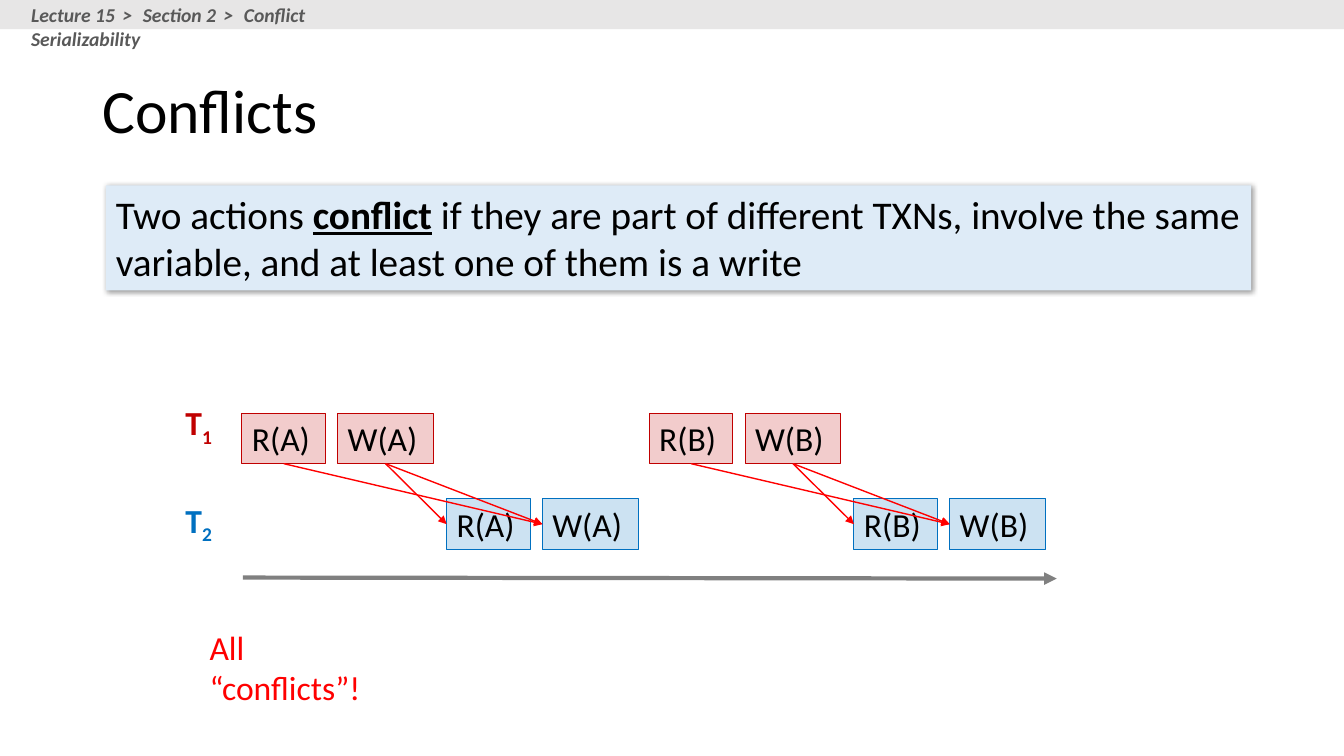
from dataclasses import dataclass, field
from itertools import product
from typing import Any

from lxml.etree import SubElement
from pptx import Presentation
from pptx.dml.color import RGBColor
from pptx.enum.shapes import MSO_CONNECTOR, MSO_SHAPE
from pptx.enum.text import MSO_ANCHOR, PP_ALIGN
from pptx.oxml.ns import qn
from pptx.util import Pt

PX = 9144  # one px is a hundredth of an inch
BOTTOM, LEFT = 0 + 2, 1  # connection sites of a rectangle
RED, BLUE, BLACK = "C00000", "0070C0", "000000"


@dataclass
class Run:
    text: str
    font: dict[str, Any] = field(default_factory=dict)
    attrs: dict[str, str] = field(default_factory=dict)


@dataclass
class Transaction:
    number: str
    color: str
    label_y: int
    x: int
    y: int


def rgb(color: str) -> RGBColor:
    return RGBColor.from_string(color)


def write(sp, runs: list[Run], size: int, color: str, anchor=MSO_ANCHOR.TOP,
          wrap: bool = True, margin_right: int = 10):
    """Fill a shape with one left-aligned paragraph."""
    tf = sp.text_frame
    settings = {"word_wrap": wrap, "vertical_anchor": anchor, "margin_right": margin_right * PX}
    for name, value in settings.items():
        setattr(tf, name, value)
    p = tf.paragraphs[0]
    p.alignment = PP_ALIGN.LEFT
    for run in runs:
        r = p.add_run()
        r.text = run.text
        r.font.color.rgb = rgb(color)
        for name, value in {"name": "Calibri", "size": Pt(size), **run.font}.items():
            setattr(r.font, name, value)
        for name, value in run.attrs.items():
            r.font._element.set(name, value)
    return p


def text(s, x: int, y: int, w: int, h: int, runs: list[Run], size: int, color: str, **layout):
    sp = s.shapes.add_textbox(x * PX, y * PX, w * PX, h * PX)
    return write(sp, runs, size, color, **layout)


def rect(s, x: int, y: int, w: int, h: int, fill: str, line: str = "", alpha: int = 100):
    sp = s.shapes.add_shape(MSO_SHAPE.RECTANGLE, x * PX, y * PX, w * PX, h * PX)
    sp.shadow.inherit = False
    sp.fill.solid()
    sp.fill.fore_color.rgb = rgb(fill)
    if alpha < 100:
        clr = sp._element.spPr.find(qn("a:solidFill"))[0]
        SubElement(clr, qn("a:alpha"), val=str(alpha * 1000))
    if line:
        sp.line.color.rgb = rgb(line)
        sp.line.width = Pt(0.75)
    else:
        sp.line.fill.background()
    return sp


def add_shadow(sp) -> None:
    effects = sp._element.spPr.find(qn("a:effectLst"))
    shadow = SubElement(effects, qn("a:outerShdw"), blurRad=str(Pt(4)), dist=str(Pt(1)),
                        dir="2700000", algn="tl", rotWithShape="0")
    clr = SubElement(shadow, qn("a:srgbClr"), val=BLACK)
    SubElement(clr, qn("a:alpha"), val="40000")


def arrow(s, color: str, width: int, x1: int = 0, y1: int = 0, x2: int = 0, y2: int = 0):
    c = s.shapes.add_connector(MSO_CONNECTOR.STRAIGHT, x1 * PX, y1 * PX, x2 * PX, y2 * PX)
    c.line.color.rgb = rgb(color)
    c.line.width = Pt(width)
    SubElement(c.line._get_or_add_ln(), qn("a:tailEnd"), type="triangle")
    SubElement(c._element.spPr, qn("a:effectLst"))
    return c


def draw_schedule(s) -> None:
    arrow(s, "808080", 3, 241, 573, 1048, 574)  # time axis

    # Transaction labels and their actions
    transactions = [Transaction("1", RED, 394, 240, 410),
                    Transaction("2", BLUE, 491, 443, 495)]
    variables = {"A": 0, "B": 404}
    actions = {"R": (0, 83), "W": (95, 95)}
    boxes = {}
    for t in transactions:
        bold = {"bold": True}
        label = [Run("T", bold), Run(t.number, bold, {"baseline": "-25000"})]
        text(s, 174, t.label_y, 48, 50, label, 24, t.color, wrap=False)
        for (var, shift), (action, (dx, w)) in product(variables.items(), actions.items()):
            sp = rect(s, t.x + shift + dx, t.y, w, 50, t.color, t.color, alpha=20)
            write(sp, [Run(f"{action}({var})")], 24, BLACK, wrap=False)
            boxes[t.number, action, var] = sp

    # Conflicts: every pair on one variable with at least one write
    for var, first, second in product(variables, actions, actions):
        if "W" in (first, second):
            c = arrow(s, "FF0000", 1)
            c.begin_connect(boxes["1", first, var], BOTTOM)
            c.end_connect(boxes["2", second, var], LEFT)


def main() -> None:
    prs = Presentation()
    prs.slide_width, prs.slide_height = 1333 * PX, 750 * PX
    s = prs.slides.add_slide(prs.slide_layouts[6])

    # Title
    title = text(s, 92, 40, 1150, 145, [Run("Conflicts")], 44, BLACK, anchor=MSO_ANCHOR.MIDDLE)
    title.line_spacing = 0.9

    # Definition
    definition = rect(s, 105, 184, 1136, 104, "DEEBF7")
    add_shadow(definition)
    write(definition, [
        Run("Two actions "),
        Run("conflict", {"bold": True, "underline": True}),
        Run(" if they are part of different TXNs, involve the same variable, "
            "and at least one of them is a write"),
    ], 28, BLACK)

    draw_schedule(s)
    text(s, 198, 617, 211, 50, [Run("All “conflicts”!")], 24, "FF0000", margin_right=40)

    # Breadcrumb header, with widened separators
    rect(s, 0, 0, 1333, 29, "E7E6E6")
    style = {"bold": True, "italic": True}
    separator = Run(" > ", style, {"spc": "210"})
    crumbs = [Run("Lecture 15", style), separator, Run("Section 2", style), separator,
              Run("Conflict Serializability", style)]
    text(s, 21, -2, 405, 34, crumbs, 14, "595959", margin_right=70)

    prs.save("out.pptx")


if __name__ == "__main__":
    main()
